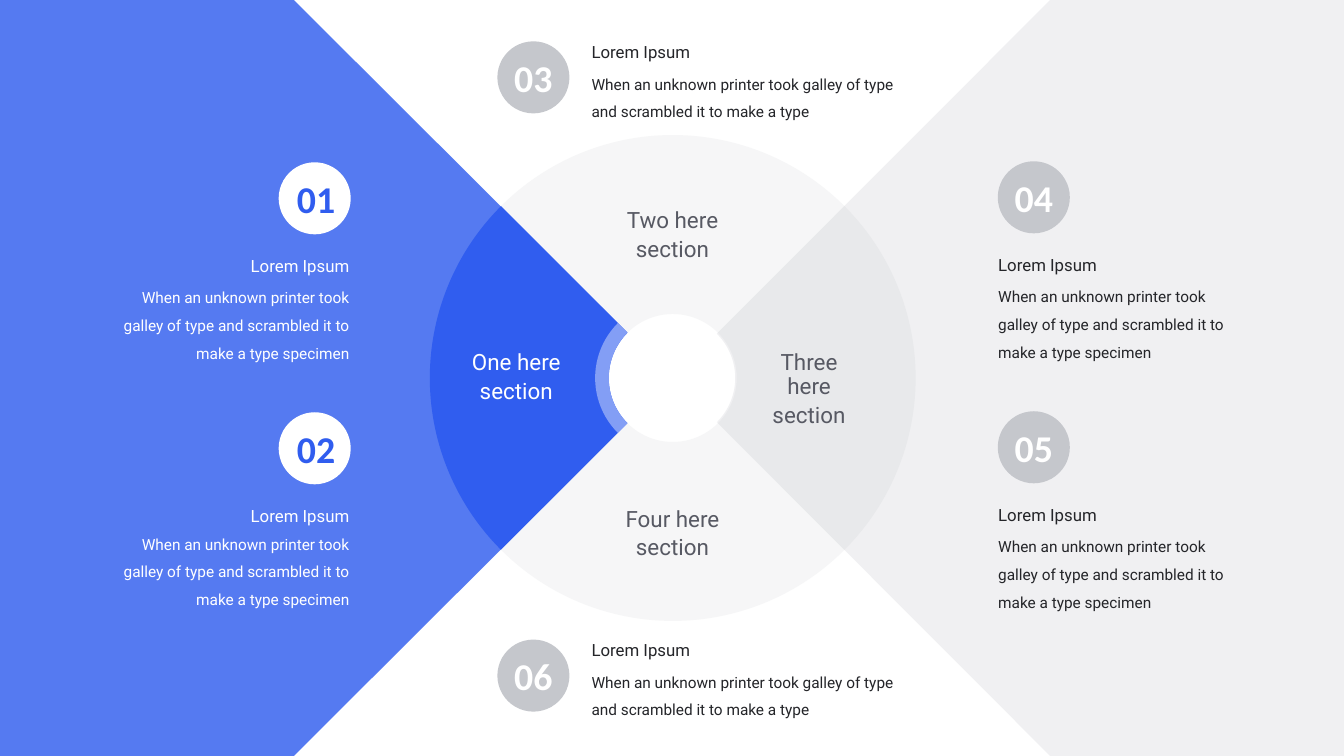
from dataclasses import dataclass
from math import cos, radians, sin

from lxml import etree
from pptx import Presentation
from pptx.dml.color import RGBColor
from pptx.enum.shapes import MSO_SHAPE
from pptx.enum.text import MSO_ANCHOR, PP_ALIGN
from pptx.oxml.ns import qn
from pptx.util import Pt

PX = 9144  # one px is a hundredth of an inch
DEGREE = 60000
WIDTH, HEIGHT = 2667, 1500
CENTER_X, CENTER_Y = 1335, 750
OUTER, INNER, RIM, PANEL_RIM = 482, 127, 154, 124
BADGE = 143
LABEL_WIDTH, LABEL_HEIGHT = 215, 102
ITEM_HEIGHT = 217
LEFT, CENTER, RIGHT = PP_ALIGN.LEFT, PP_ALIGN.CENTER, PP_ALIGN.RIGHT
MIDDLE = MSO_ANCHOR.MIDDLE
OVAL = MSO_SHAPE.OVAL

COLORS = {
    "blue": "305DEF",
    "light_blue": "839EF5",
    "panel_gray": "D1D2D7",
    "sector_gray": "E8E9EB",
    "badge_gray": "C5C7CC",
    "label_gray": "575963",
    "ink": "242529",
    "white": "FFFFFF",
}
HEADING = "Lorem Ipsum"
SHORT = "When an unknown printer took galley of type and scrambled it to make a type"
LONG = SHORT + " specimen"


@dataclass(frozen=True)
class Arc:
    radius: int
    start: int
    sweep: int = 90

    def points(self) -> list[tuple[float, float]]:
        """Start, middle and end of the arc."""
        turns = [radians(self.start + self.sweep * part) for part in (0, 0.5, 1)]
        return [
            (CENTER_X + self.radius * cos(t), CENTER_Y + self.radius * sin(t)) for t in turns
        ]


@dataclass(frozen=True)
class Sector:
    start: int
    inner: int
    outer: int
    color: str
    opacity: int = 100


@dataclass(frozen=True)
class Label:
    text: str
    left: int
    top: int
    color: str = "label_gray"


@dataclass(frozen=True)
class Column:
    badge_left: int
    text_left: int
    text_width: int
    text_drop: int
    badge_color: str
    number_color: str
    text_color: str
    number_align: PP_ALIGN
    text_align: PP_ALIGN
    body: str


@dataclass(frozen=True)
class Item:
    number: str
    top: int
    column: Column
    separator: str = "\n"


SECTORS = [
    Sector(315, INNER, OUTER, "sector_gray"),
    Sector(225, INNER, OUTER, "sector_gray", 39),
    Sector(45, INNER, OUTER, "sector_gray", 39),
    Sector(135, INNER, OUTER, "blue"),
    Sector(135, INNER, RIM, "light_blue"),
]
LABELS = [
    Label("One here\nsection", 917, 692, "white"),
    Label("Three here\nsection", 1498, 692),
    Label("Two here\nsection", 1227, 411),
    Label("Four here\nsection", 1227, 1003),
]
LEFT_COLUMN = Column(553, 208, 495, 160, "white", "blue", "white", RIGHT, RIGHT, LONG)
MIDDLE_COLUMN = Column(987, 1164, 623, -24, "badge_gray", "white", "ink", CENTER, LEFT, SHORT)
RIGHT_COLUMN = Column(1980, 1971, 495, 160, "badge_gray", "white", "ink", CENTER, LEFT, LONG)
ITEMS = [
    Item("04", 320, RIGHT_COLUMN),
    Item("05", 816, RIGHT_COLUMN),
    Item("01", 322, LEFT_COLUMN),
    Item("02", 818, LEFT_COLUMN, "\v"),
    Item("03", 82, MIDDLE_COLUMN),
    Item("06", 1269, MIDDLE_COLUMN),
]


def rgb(name: str) -> RGBColor:
    return RGBColor.from_string(COLORS[name])


def paint(shape, color: str, opacity: int = 100) -> None:
    shape.shadow.inherit = False
    shape.line.fill.background()
    shape.fill.solid()
    shape.fill.fore_color.rgb = rgb(color)
    if opacity < 100:
        color_element = shape.element.spPr.find(".//" + qn("a:srgbClr"))
        etree.SubElement(color_element, qn("a:alpha"), val=str(opacity * 1000))


def add_outline(page, arcs: list[Arc], corners: list, color: str, opacity: int) -> None:
    """Draw the arcs one after the other, then straight lines through the corners."""
    points = [point for arc in arcs for point in arc.points()] + corners
    start, *rest = [(round(x * PX), round(y * PX)) for x, y in points]
    builder = page.shapes.build_freeform(*start)
    builder.add_line_segments(rest, close=True)
    shape = builder.convert_to_shape()
    lines = shape.element.spPr.findall(".//" + qn("a:lnTo"))
    for index, arc in enumerate(arcs):
        to_middle, to_end = lines[3 * index : 3 * index + 2]
        radius = str(arc.radius * PX)
        curve = etree.Element(
            qn("a:arcTo"),
            wR=radius,
            hR=radius,
            stAng=str(arc.start * DEGREE),
            swAng=str(arc.sweep * DEGREE),
        )
        to_middle.addprevious(curve)
        to_middle.getparent().remove(to_middle)
        to_end.getparent().remove(to_end)
    paint(shape, color, opacity)


def add_sector(page, sector: Sector) -> None:
    end = (sector.start + 90) % 360
    arcs = [Arc(sector.outer, sector.start), Arc(sector.inner, end, -90)]
    add_outline(page, arcs, [], sector.color, sector.opacity)


def add_text(page, left: int, top: int, width: int, height: int, text: str):
    box = page.shapes.add_textbox(left * PX, top * PX, width * PX, height * PX)
    box.text_frame.word_wrap = True
    box.text_frame.text = text
    return box.text_frame


def style_span(span, font: str, size: int, color: str, bold: bool = False) -> None:
    span.font.name = font
    span.font.size = Pt(size)
    span.font.color.rgb = rgb(color)
    span.font.bold = bold


def space_paragraphs(frame, align: PP_ALIGN, spacing: float, gap: int) -> None:
    for index, para in enumerate(frame.paragraphs):
        para.alignment = align
        para.line_spacing = spacing
        if index:
            para.space_before = Pt(gap)


def add_label(page, label: Label) -> None:
    frame = add_text(page, label.left, label.top, LABEL_WIDTH, LABEL_HEIGHT, label.text)
    space_paragraphs(frame, CENTER, 0.9, 6)
    for para in frame.paragraphs:
        style_span(para.runs[0], "Roboto", 32, label.color)


def add_item(page, item: Item) -> None:
    column = item.column
    badge = page.shapes.add_shape(
        OVAL, column.badge_left * PX, item.top * PX, BADGE * PX, BADGE * PX
    )
    paint(badge, column.badge_color)
    badge.text_frame.text = item.number
    badge.text_frame.vertical_anchor = MIDDLE
    number = badge.text_frame.paragraphs[0]
    number.alignment = column.number_align
    style_span(number.runs[0], "Calibri", 54, column.number_color, bold=True)

    text = HEADING + item.separator + column.body
    text_top = item.top + column.text_drop
    frame = add_text(page, column.text_left, text_top, column.text_width, ITEM_HEIGHT, text)
    space_paragraphs(frame, column.text_align, 1.5, 5)
    spans = [span for para in frame.paragraphs for span in para.runs]
    for span, size in zip(spans, (24, 22)):
        style_span(span, "Roboto", size, column.text_color)


def main() -> None:
    deck = Presentation()
    deck.slide_width, deck.slide_height = WIDTH * PX, HEIGHT * PX
    page = deck.slides.add_slide(deck.slide_layouts[6])

    right_edge = [(2084, HEIGHT), (WIDTH, HEIGHT), (WIDTH, 0), (2084, 0)]
    left_edge = [(583, 0), (0, 0), (0, HEIGHT), (583, HEIGHT)]
    add_outline(page, [Arc(PANEL_RIM, 315)], right_edge, "panel_gray", 32)
    add_outline(page, [Arc(RIM, 135)], left_edge, "blue", 82)
    for sector in SECTORS:
        add_sector(page, sector)
    for label in LABELS:
        add_label(page, label)
    for item in ITEMS:
        add_item(page, item)
    deck.save("out.pptx")


if __name__ == "__main__":
    main()
